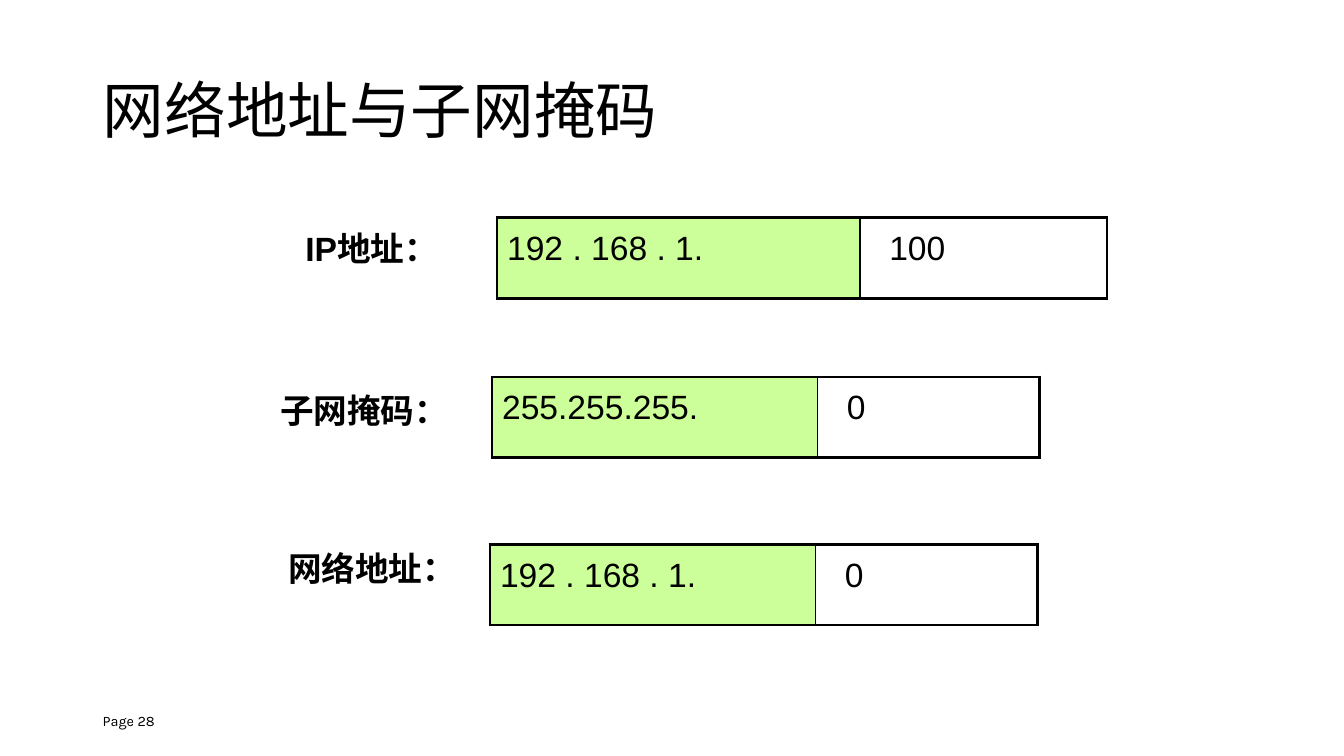
from lxml.etree import SubElement as Sub
from pptx import Presentation
from pptx.dml.color import RGBColor as RGB
from pptx.enum.text import MSO_ANCHOR as Anchor, PP_ALIGN as Align
from pptx.oxml.ns import qn
from pptx.util import Inches, Pt

CJK = "Noto Sans CJK SC"
BLACK, GREEN, WHITE = "000000", "CCFF99", "FFFFFF"
THICK, THIN = 2.25, 1

# label, label box (left, top, width), table (left, top), columns, cell texts
ROWS = [
    ("IP地址：", (2.93, 2.13, 1.77), (4.93, 2.16), (3.6, 2.45),
     ("192 . 168 . 1.", "100")),
    ("子网掩码：", (2.68, 3.74, 2.02), (4.88, 3.74), (3.23, 2.2),
     ("255.255.255.", "0")),
    ("网络地址：", (2.76, 5.31, 1.94), (4.86, 5.4), (3.23, 2.2),
     ("192 . 168 . 1.", "0")),
]


def color(code):
    return RGB.from_string(code)


def write(frame, text, size, face, bold=False, space=1.0):
    frame.word_wrap = True
    para = frame.paragraphs[0]
    para.text = text
    para.alignment = Align.LEFT
    para.line_spacing = space
    font = para.font
    font.size, font.name, font.bold = Pt(size), face, bold
    font.color.rgb = color(BLACK)
    props = para._p.pPr.find(qn("a:defRPr"))
    Sub(props, qn("a:ea"), typeface=CJK)


def add_text(slide, box, text, size, face, **style):
    frame = slide.shapes.add_textbox(*map(Inches, box)).text_frame
    write(frame, text, size, face, **style)
    return frame


def set_title(slide, text):
    title = slide.shapes.title
    title.left, title.top = Inches(0.92), Inches(0.4)
    title.width, title.height = Inches(11.5), Inches(1.45)
    title.text_frame.vertical_anchor = Anchor.MIDDLE
    write(title.text_frame, text, 44, CJK, space=0.9)


def set_edges(cell, left, right):
    """Border the cell; top and bottom are always thick."""
    props = cell._tc.get_or_add_tcPr()
    edges = {"lnL": left, "lnR": right, "lnT": THICK, "lnB": THICK}
    for spot, (tag, width) in enumerate(edges.items()):
        line = Sub(props, qn(f"a:{tag}"), w=str(Pt(width)))
        fill = Sub(line, qn("a:solidFill"))
        Sub(fill, qn("a:srgbClr"), val=BLACK)
        props.insert(spot, line)


def add_address(slide, spot, cols, texts):
    """Draw an address as a network part and a host part."""
    size = (sum(cols), 0.8)
    table = slide.shapes.add_table(1, 2, *map(Inches, spot + size)).table
    table.first_row = table.horz_banding = False
    looks = [(GREEN, 0.1, THICK, THIN), (WHITE, 0.29, THIN, THICK)]
    for i, (fill, inset, left, right) in enumerate(looks):
        table.columns[i].width = Inches(cols[i])
        cell = table.cell(0, i)
        cell.margin_left = Inches(inset)
        cell.fill.solid()
        cell.fill.fore_color.rgb = color(fill)
        set_edges(cell, left, right)
        write(cell.text_frame, texts[i], 24, "Arial", space=1.2)


def main():
    deck = Presentation()
    deck.slide_width, deck.slide_height = Inches(13.33), Inches(7.5)
    slide = deck.slides.add_slide(deck.slide_layouts[5])
    set_title(slide, "网络地址与子网掩码")
    page = add_text(slide, (0.92, 6.95, 3, 0.4), "Page 28", 10.3, "Karla")
    page.vertical_anchor = Anchor.MIDDLE
    for label, box, spot, cols, texts in ROWS:
        add_text(slide, box + (0.54,), label, 24, "Arial",
                 bold=True, space=1.2)
        add_address(slide, spot, cols, texts)
    deck.save("out.pptx")


if __name__ == "__main__":
    main()
